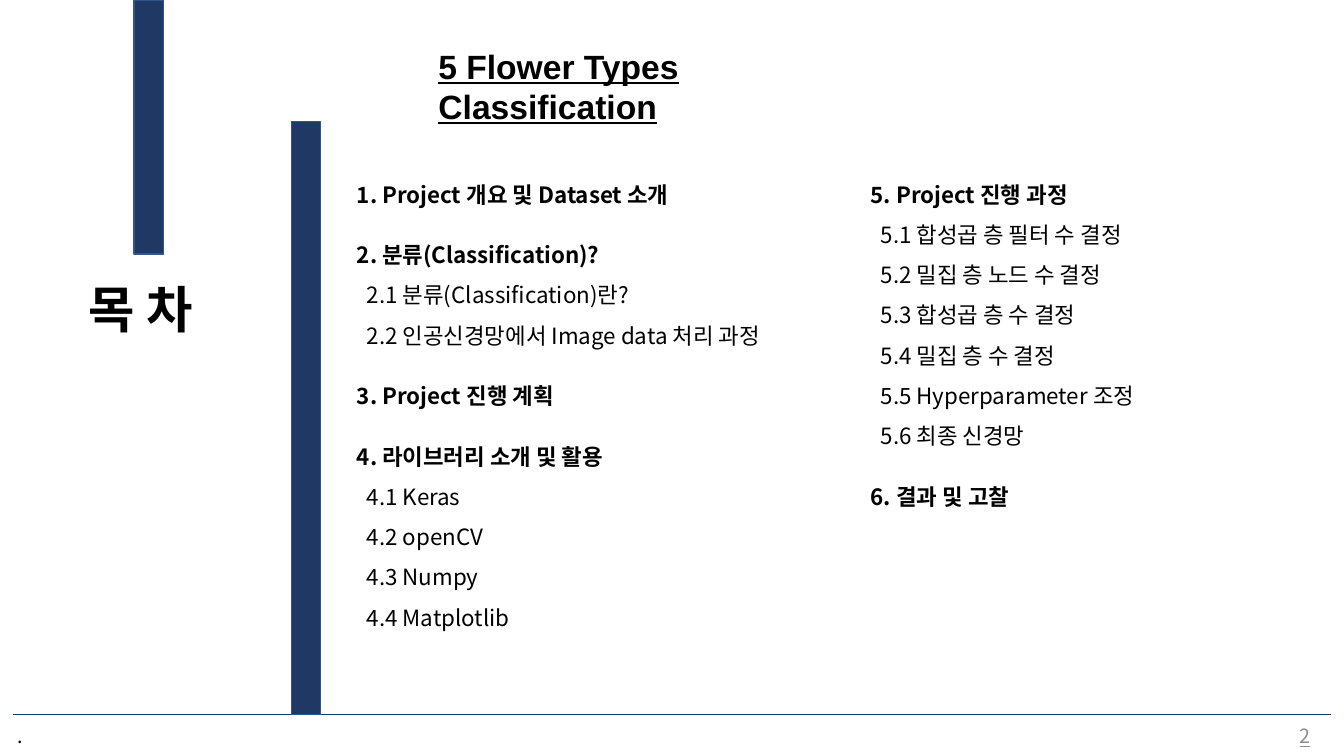
import pptx
import pptx.dml.color
import pptx.enum.shapes
import pptx.enum.text
import pptx.oxml
import pptx.util
from pptx.oxml.ns import qn

Cm = pptx.util.Cm
Pt = pptx.util.Pt
RGBColor = pptx.dml.color.RGBColor
PP_ALIGN = pptx.enum.text.PP_ALIGN
MSO_ANCHOR = pptx.enum.text.MSO_ANCHOR

# Content
HEADING = "목 차"
PROJECT_LINES = ["5 Flower Types", "Classification"]
FOOTER_MARK = "."
PAGE_NUMBER = "2"
LEFT_SECTIONS = [
    ("1. Project 개요 및 Dataset 소개", []),
    ("2. 분류(Classification)?",
     ["2.1 분류(Classification)란?", "2.2 인공신경망에서 Image data 처리 과정"]),
    ("3. Project 진행 계획", []),
    ("4. 라이브러리 소개 및 활용",
     ["4.1 Keras", "4.2 openCV", "4.3 Numpy", "4.4 Matplotlib"]),
]
RIGHT_SECTIONS = [
    ("5. Project 진행 과정",
     ["5.1 합성곱 층 필터 수 결정", "5.2 밀집 층 노드 수 결정",
      "5.3 합성곱 층 수 결정", "5.4 밀집 층 수 결정",
      "5.5 Hyperparameter 조정", "5.6 최종 신경망"]),
    ("6. 결과 및 고찰", []),
]

# Style
NAVY = RGBColor(0x20, 0x38, 0x64)
BAR_EDGE = RGBColor(0x32, 0x54, 0x91)
BLACK = RGBColor(0, 0, 0)
GRAY = RGBColor(0x8C, 0x8C, 0x8C)
KOREAN = "Noto Sans CJK KR"
LATIN = "Arial"

# Layout: left, top, width, height in centimetres
PAGE_WIDTH, PAGE_HEIGHT = 33.87, 19.05
RULE_Y = 18.01
BAR_WIDTH = 0.74
BARS = [(3.38, 0, 6.4), (7.34, 3.07, RULE_Y - 3.07)]  # left, top, height
HEADING_BOX = (1.98, 6.88, 3.53, 1.8)
PROJECT_BOX = (10.8, 1.02, 12.27, 2.3)
COLUMNS = [((8.74, 4.09, 12.2, 12.4), LEFT_SECTIONS),
           ((21.69, 4.09, 9, 8.84), RIGHT_SECTIONS)]
FOOTER_BOX = (0.18, 18.11, 0.64, 0.86)
NUMBER_BOX = (31.9, 18.03, 1.98, 1.02)
SUB_INDENT = 0.25
SECTION_GAP = 14.4


def place(box, bounds):
    box.left, box.top, box.width, box.height = (Cm(value) for value in bounds)


def prepare(box, anchor=MSO_ANCHOR.TOP):
    frame = box.text_frame
    frame.word_wrap = True
    frame.auto_size = pptx.enum.text.MSO_AUTO_SIZE.NONE
    frame.vertical_anchor = anchor
    return frame


def add_span(para, text, size, face=KOREAN, color=BLACK, bold=False, underline=False):
    span = para.add_run()
    span.text = text
    font = span.font
    font.size, font.name = Pt(size), face
    font.bold, font.underline = bold, underline
    font.color.rgb = color
    east_asian = pptx.oxml.parse_xml(
        '<a:ea xmlns:a="http://schemas.openxmlformats.org/drawingml/2006/main"'
        f' typeface="{KOREAN}"/>')
    font._element.append(east_asian)


def add_text_box(page, bounds, anchor=MSO_ANCHOR.TOP):
    box = page.shapes.add_textbox(*(Cm(value) for value in bounds))
    return prepare(box, anchor).paragraphs[0]


def fill_sections(frame, sections):
    entries = []
    for number, (section, items) in enumerate(sections):
        entries.append((section, True, SECTION_GAP if number else 0))
        entries += [(item, False, 0) for item in items]
    for number, (text, is_section, gap) in enumerate(entries):
        para = frame.add_paragraph() if number else frame.paragraphs[0]
        para.line_spacing = 1.5
        para.space_before = Pt(gap)
        para.space_after = Pt(0)
        properties = para._p.get_or_add_pPr()
        properties.set("marL", str(Cm(0 if is_section else SUB_INDENT)))
        properties.set("indent", "0")
        properties.append(properties.makeelement(qn("a:buNone"), {}))
        add_span(para, text, 16, bold=is_section)


def main():
    deck = pptx.Presentation()
    deck.slide_width, deck.slide_height = Cm(PAGE_WIDTH), Cm(PAGE_HEIGHT)
    page = deck.slides.add_slide(deck.slide_layouts[3])

    # Footer rule, mark and page number
    rule = page.shapes.add_connector(
        pptx.enum.shapes.MSO_CONNECTOR.STRAIGHT,
        Cm(0.33), Cm(RULE_Y), Cm(33.53), Cm(RULE_Y))
    rule.line.color.rgb = NAVY
    rule.line.width = Pt(1)
    effects = rule._element.spPr
    effects.append(effects.makeelement(qn("a:effectLst"), {}))
    add_span(add_text_box(page, FOOTER_BOX), FOOTER_MARK, 14)
    number = add_text_box(page, NUMBER_BOX, MSO_ANCHOR.MIDDLE)
    number.alignment = PP_ALIGN.CENTER
    add_span(number, PAGE_NUMBER, 14, color=GRAY, underline=True)

    # Navy bars
    for left, top, height in BARS:
        bar = page.shapes.add_shape(
            pptx.enum.shapes.MSO_SHAPE.RECTANGLE,
            Cm(left), Cm(top), Cm(BAR_WIDTH), Cm(height))
        bar.shadow.inherit = False
        bar.fill.solid()
        bar.fill.fore_color.rgb = NAVY
        bar.line.color.rgb = BAR_EDGE
        bar.line.width = Pt(1)

    # Heading and project name
    place(page.shapes.title, HEADING_BOX)
    heading = prepare(page.shapes.title).paragraphs[0]
    heading.alignment = PP_ALIGN.LEFT
    add_span(heading, HEADING, 36, LATIN, bold=True)
    project = add_text_box(page, PROJECT_BOX)
    for index, line in enumerate(PROJECT_LINES):
        if index:
            project.add_line_break()
        add_span(project, line, 24, LATIN, bold=True, underline=True)

    # Contents in two columns
    for index, (bounds, sections) in enumerate(COLUMNS, start=1):
        body = page.placeholders[index]
        place(body, bounds)
        fill_sections(prepare(body), sections)

    deck.save("out.pptx")


if __name__ == "__main__":
    main()
